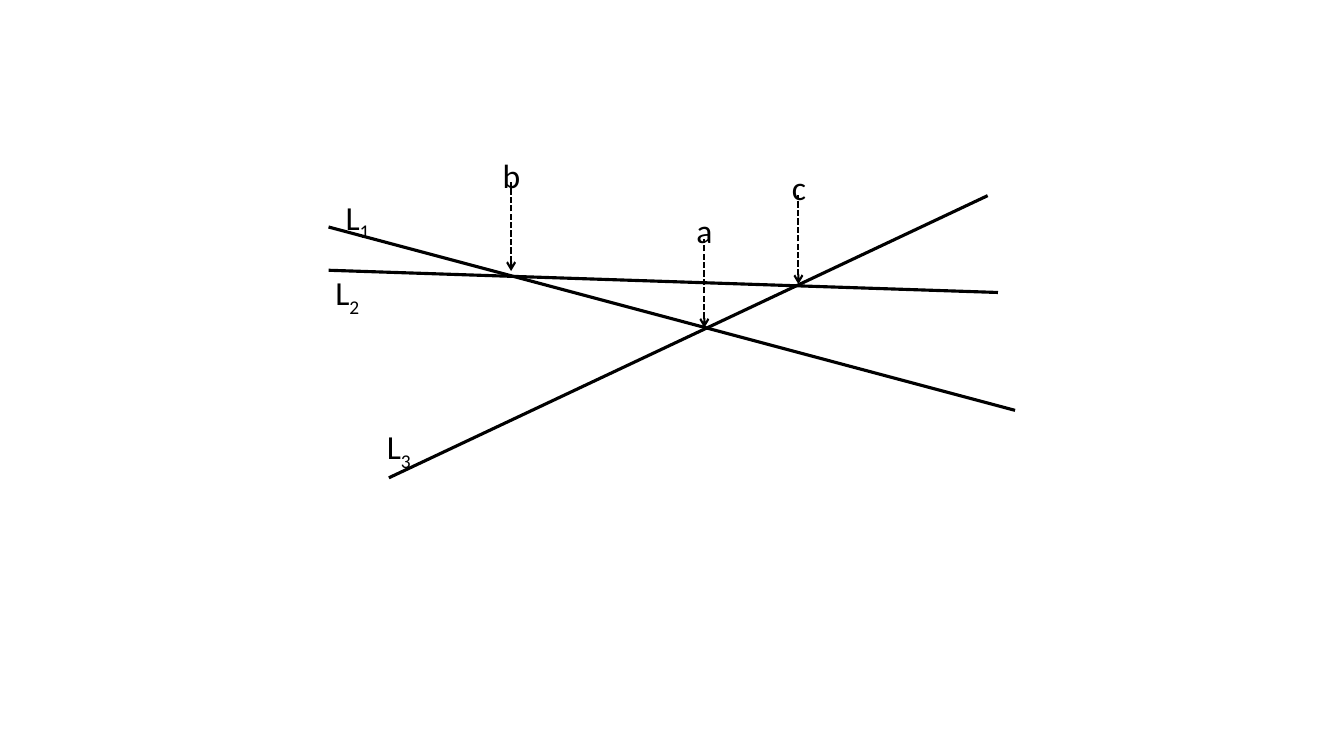
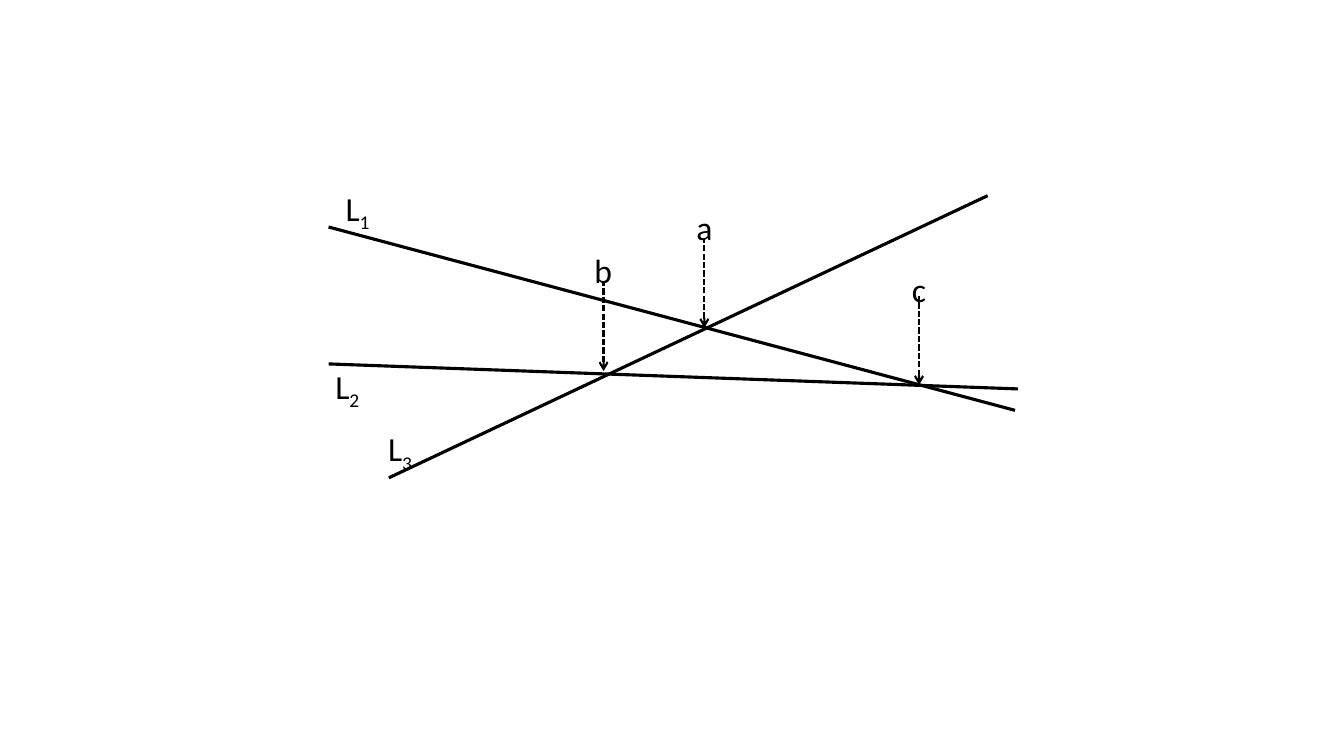
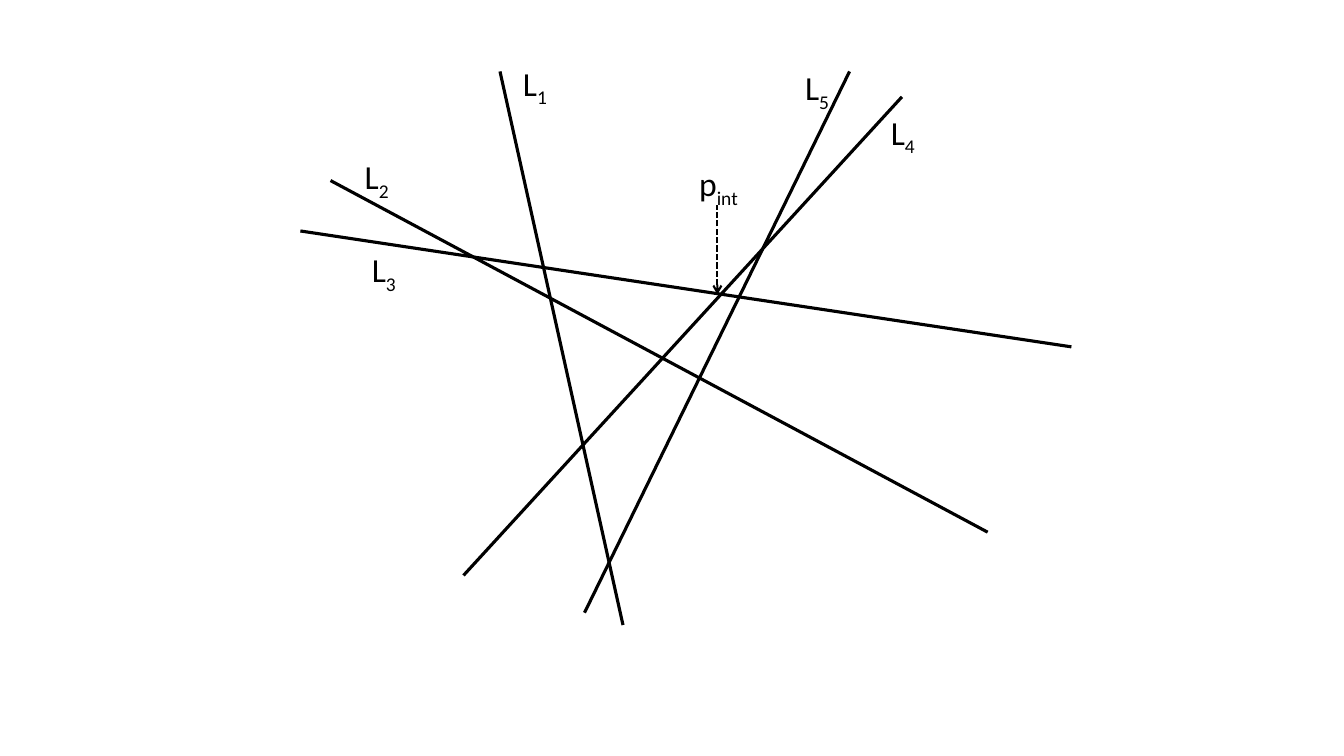
"""Build three slides of labelled line arrangements with their marked crossings."""
from pptx import Presentation
from pptx.dml.color import RGBColor
from pptx.enum.dml import MSO_LINE
from pptx.enum.shapes import MSO_CONNECTOR
from pptx.enum.text import MSO_AUTO_SIZE
from pptx.oxml.ns import qn
from pptx.util import Cm, Pt
from lxml.etree import SubElement

INK = "000000"
FONT = {"name": "Calibri", "size": Pt(24)}
SOLID = {"width": Pt(2.25)}
DASHED = {"width": Pt(1.5), "dash_style": MSO_LINE.SQUARE_DOT}
LABEL_WIDTH, LABEL_HEIGHT = 1.32, 1.27
POINTER_LENGTH = 2.25

FALLING = ((8.28, 5.72), (25.58, 10.34))
RISING = ((9.8, 12.04), (24.89, 4.93))
CROSSING_A = (17.75, 8.26)

SLIDES = [
    {
        "lines": [RISING, FALLING, ((8.28, 6.81), (25.15, 7.37))],
        "labels": [
            ("L", "1", (8.46, 4.83)),
            ("L", "2", (8.2, 6.73)),
            ("L", "3", (9.5, 10.62)),
            ("a", "", (17.3, 5.16)),
            ("b", "", (12.42, 3.78)),
            ("c", "", (19.71, 4.09)),
        ],
        "crossings": [CROSSING_A, (12.88, 6.83), (20.12, 7.16)],
    },
    {
        "lines": [RISING, FALLING, ((8.28, 9.17), (25.65, 9.8))],
        "labels": [
            ("L", "1", (8.46, 4.6)),
            ("L", "2", (8.2, 9.09)),
            ("L", "3", (9.53, 10.67)),
            ("a", "", (17.3, 5.08)),
            ("b", "", (14.73, 6.17)),
            ("c", "", (22.73, 6.65)),
        ],
        "crossings": [CROSSING_A, (15.21, 9.35), (23.16, 9.7)],
    },
    {
        "lines": [
            ((7.57, 5.82), (27, 8.74)),
            ((12.6, 1.8), (15.7, 15.75)),
            ((8.33, 4.55), (24.89, 13.41)),
            ((11.68, 14.5), (22.73, 2.44)),
            ((14.73, 15.44), (21.41, 1.8)),
        ],
        "labels": [
            ("L", "1", (12.93, 1.45)),
            ("L", "2", (8.94, 3.81)),
            ("L", "3", (9.12, 6.15)),
            ("p", "int", (17.37, 3.99)),
            ("L", "4", (22.2, 2.69)),
            ("L", "5", (20.04, 1.57)),
        ],
        "crossings": [(18.08, 7.42)],
    },
]


def color(value):
    return RGBColor.from_string(value)


def apply(target, values):
    for name, value in values.items():
        setattr(target, name, value)


def add_line(page, start, end, style):
    line = page.shapes.add_connector(
        MSO_CONNECTOR.STRAIGHT, *(Cm(value) for value in (*start, *end))
    )
    line.line.color.rgb = color(INK)
    apply(line.line, style)
    SubElement(line._element.spPr, qn("a:effectLst"))
    return line


def add_pointer(page, tip):
    left, top = tip
    pointer = add_line(page, tip, (left, top - POINTER_LENGTH), DASHED)
    outline = pointer._element.spPr.find(qn("a:ln"))
    SubElement(outline, qn("a:headEnd"), type="arrow")


def add_label(page, letter, index, corner):
    width = LABEL_WIDTH + 0.24 * max(len(index) - 1, 0)
    box = page.shapes.add_textbox(
        *(Cm(value) for value in (*corner, width, LABEL_HEIGHT))
    )
    apply(box.text_frame, {"word_wrap": True, "auto_size": MSO_AUTO_SIZE.SHAPE_TO_FIT_TEXT})
    para = box.text_frame.paragraphs[0]
    for text, baseline in ((letter, None), (index, "-25000")):
        if not text:
            continue
        span = para.add_run()
        span.text = text
        apply(span.font, FONT)
        span.font.color.rgb = color(INK)
        if baseline:
            span._r.get_or_add_rPr().set("baseline", baseline)


def main():
    deck = Presentation()
    apply(deck, {"slide_width": Cm(33.87), "slide_height": Cm(19.05)})
    for content in SLIDES:
        page = deck.slides.add_slide(deck.slide_layouts[6])
        for start, end in content["lines"]:
            add_line(page, start, end, SOLID)
        for tip in content["crossings"]:
            add_pointer(page, tip)
        for letter, index, corner in content["labels"]:
            add_label(page, letter, index, corner)
    deck.save("out.pptx")


if __name__ == "__main__":
    main()
